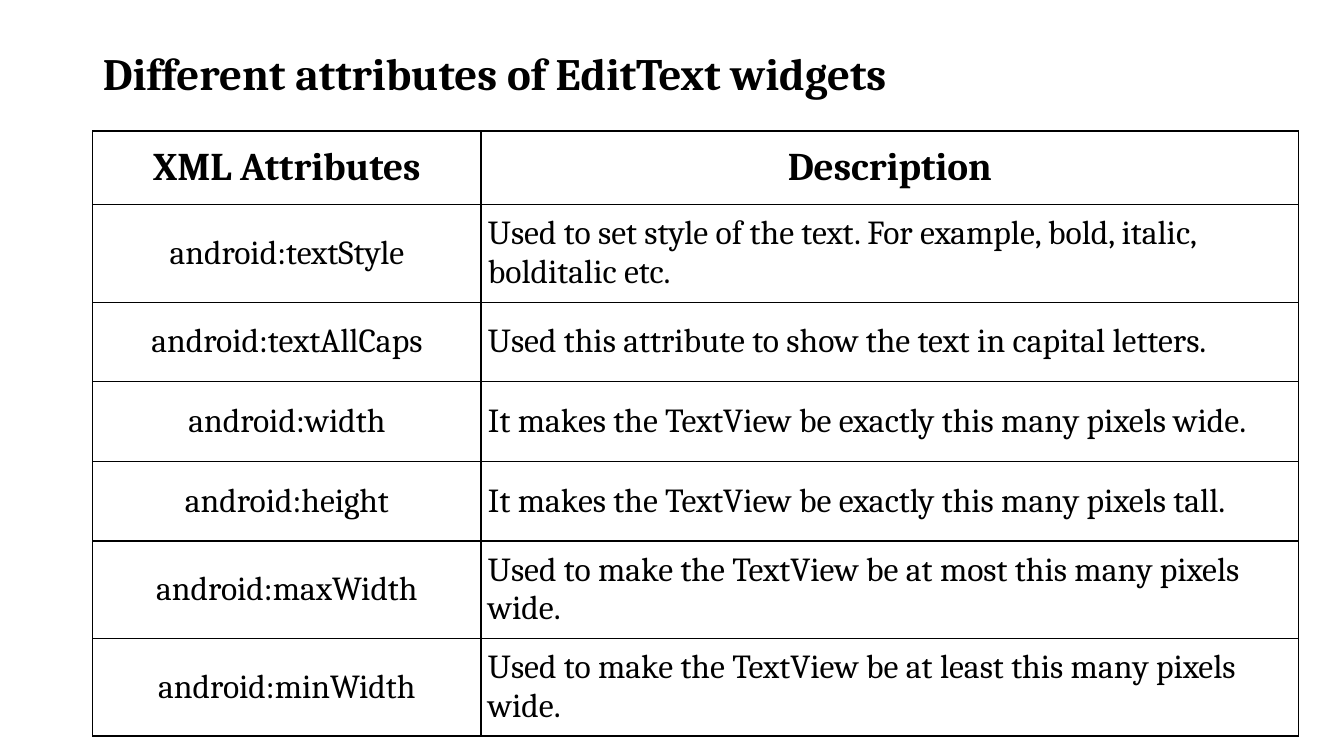
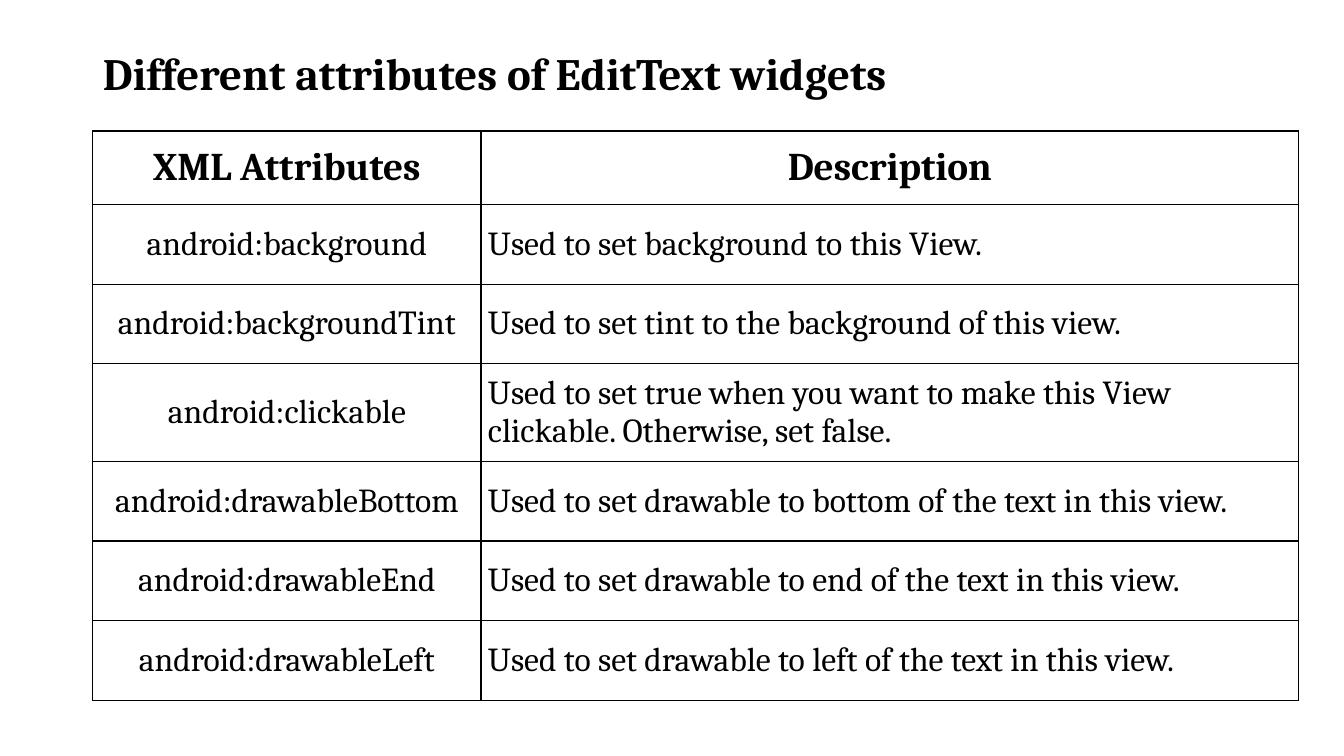
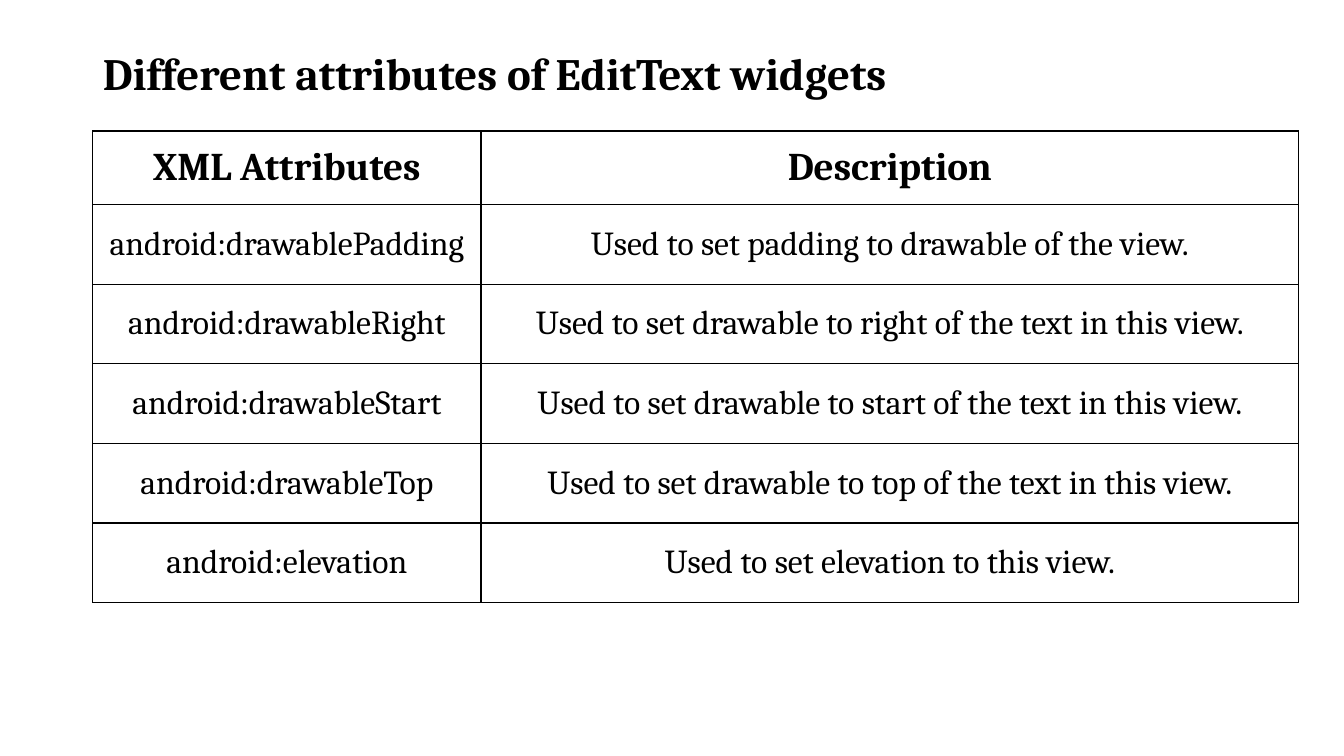
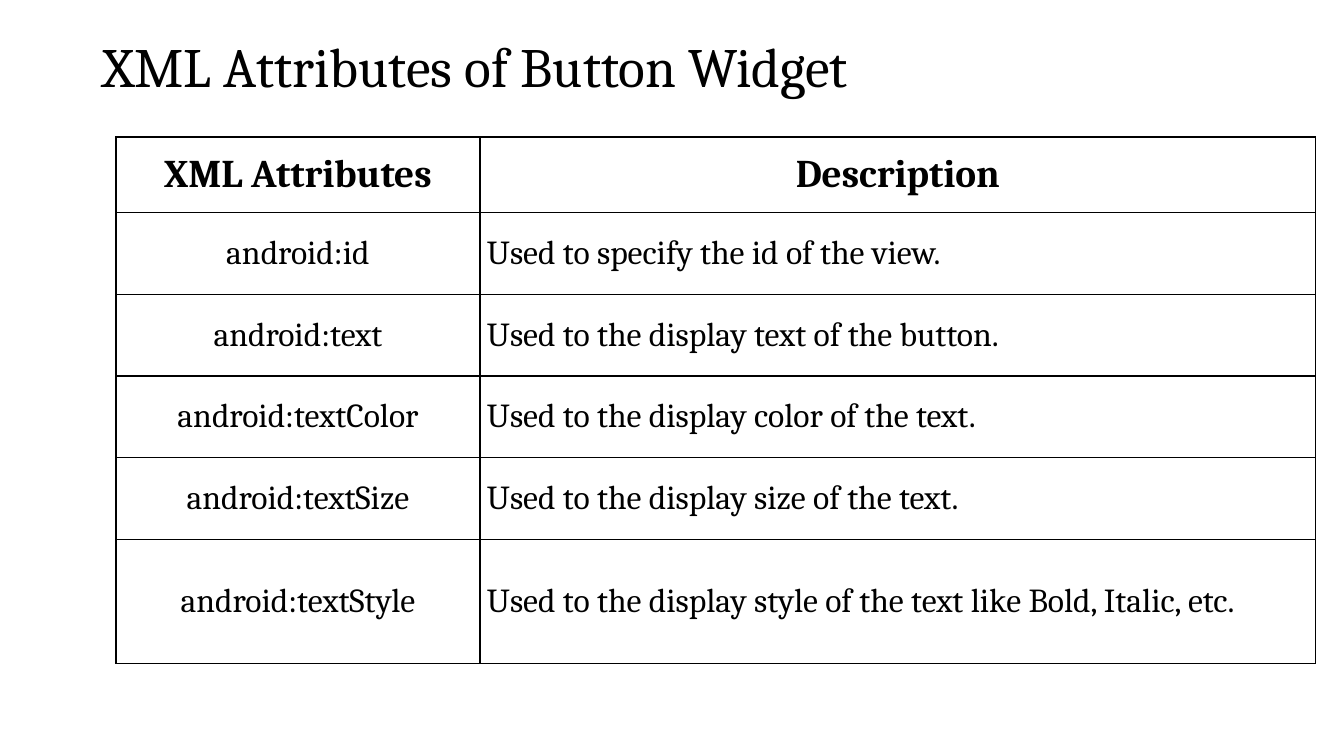
from dataclasses import dataclass

import lxml.etree
import pptx
import pptx.dml.color
import pptx.enum.text
import pptx.oxml.ns
import pptx.presentation
import pptx.shapes.autoshape
import pptx.slide
import pptx.table
import pptx.util

EMU_PER_PX = 9144  # 100 px to the inch
SLIDE_SIZE = (1333, 750)
FONT = "Cambria"
COLORS = {"text": "000000", "border": "000000", "cell": "FFFFFF"}
BORDER_WIDTH = pptx.util.Pt(1)
CENTER = pptx.enum.text.PP_ALIGN.CENTER
LEFT = pptx.enum.text.PP_ALIGN.LEFT
MIDDLE = pptx.enum.text.MSO_ANCHOR.MIDDLE
COLUMN_TITLES = ("XML Attributes", "Description")


@dataclass(frozen=True)
class Box:
    left: int
    top: int
    width: int
    height: int


@dataclass(frozen=True)
class HeadingStyle:
    layout: int
    size: float
    bold: bool
    space_before: int


@dataclass(frozen=True)
class TableGrid:
    left: int
    top: int
    columns: tuple[int, int]
    header_height: int
    row_height: int
    last_row_height: int


@dataclass(frozen=True)
class CellStyle:
    size: int
    bold: bool
    alignment: pptx.enum.text.PP_ALIGN
    side_margin: int
    vertical_margin: int


@dataclass(frozen=True)
class AttributeSlide:
    heading: str
    heading_style: HeadingStyle
    heading_box: Box
    grid: TableGrid
    rows: tuple[tuple[str, str], ...]
    description_alignment: pptx.enum.text.PP_ALIGN = LEFT


BODY_HEADING = HeadingStyle(layout=1, size=32, bold=True, space_before=10)
TITLE_HEADING = HeadingStyle(layout=5, size=39.6, bold=False, space_before=0)
BODY_BOX = Box(92, 46, 1150, 629)
EDIT_TEXT_HEADING = "Different attributes of EditText widgets"
EDIT_TEXT_GRID = TableGrid(92, 130, (385, 811), 73, 79, 79)
BUTTON_GRID = TableGrid(115, 136, (361, 829), 75, 81, 123)

SLIDES = (
    AttributeSlide(
        EDIT_TEXT_HEADING, BODY_HEADING, BODY_BOX, EDIT_TEXT_GRID,
        (
            ("android:textStyle", "Used to set style of the text. For example, bold, italic, bolditalic etc."),
            ("android:textAllCaps", "Used this attribute to show the text in capital letters."),
            ("android:width", "It makes the TextView be exactly this many pixels wide."),
            ("android:height", "It makes the TextView be exactly this many pixels tall."),
            ("android:maxWidth", "Used to make the TextView be at most this many pixels wide."),
            ("android:minWidth", "Used to make the TextView be at least this many pixels wide."),
        ),
    ),
    AttributeSlide(
        EDIT_TEXT_HEADING, BODY_HEADING, BODY_BOX, EDIT_TEXT_GRID,
        (
            ("android:background", "Used to set background to this View."),
            ("android:backgroundTint", "Used to set tint to the background of this view."),
            ("android:clickable", "Used to set true when you want to make this View clickable. Otherwise, set false."),
            ("android:drawableBottom", "Used to set drawable to bottom of the text in this view."),
            ("android:drawableEnd", "Used to set drawable to end of the text in this view."),
            ("android:drawableLeft", "Used to set drawable to left of the text in this view."),
        ),
    ),
    AttributeSlide(
        EDIT_TEXT_HEADING, BODY_HEADING, Box(92, 46, 1223, 661), EDIT_TEXT_GRID,
        (
            ("android:drawablePadding", "Used to set padding to drawable of the view."),
            ("android:drawableRight", "Used to set drawable to right of the text in this view."),
            ("android:drawableStart", "Used to set drawable to start of the text in this view."),
            ("android:drawableTop", "Used to set drawable to top of the text in this view."),
            ("android:elevation", "Used to set elevation to this view."),
        ),
        description_alignment=CENTER,
    ),
    AttributeSlide(
        "XML Attributes of Button Widget", TITLE_HEADING, Box(92, 40, 941, 58), BUTTON_GRID,
        (
            ("android:id", "Used to specify the id of the view."),
            ("android:text", "Used to the display text of the button."),
            ("android:textColor", "Used to the display color of the text."),
            ("android:textSize", "Used to the display size of the text."),
            ("android:textStyle", "Used to the display style of the text like Bold, Italic, etc."),
        ),
    ),
)


def px(length: int) -> pptx.util.Emu:
    return pptx.util.Emu(length * EMU_PER_PX)


def rgb(name: str) -> pptx.dml.color.RGBColor:
    return pptx.dml.color.RGBColor.from_string(COLORS[name])


def write_paragraph(
    text_frame, text: str, size: float, bold: bool, alignment: pptx.enum.text.PP_ALIGN
):
    """Fill the first paragraph of the frame, format it and return it."""
    paragraph = text_frame.paragraphs[0]
    paragraph.text = text
    paragraph.alignment = alignment
    paragraph.font.name = FONT
    paragraph.font.size = pptx.util.Pt(size)
    paragraph.font.bold = bold
    paragraph.font.color.rgb = rgb("text")
    return paragraph


def add_heading(slide: pptx.slide.Slide, content: AttributeSlide) -> None:
    """Write the heading in the body placeholder, or in the title if there is no body."""
    placeholder, *unused = reversed(list(slide.placeholders))
    for shape in unused:
        shape._element.getparent().remove(shape._element)

    box, style = content.heading_box, content.heading_style
    placeholder.left, placeholder.top = px(box.left), px(box.top)
    placeholder.width, placeholder.height = px(box.width), px(box.height)
    text_frame = placeholder.text_frame
    text_frame.word_wrap = True
    text_frame.auto_size = pptx.enum.text.MSO_AUTO_SIZE.NONE
    paragraph = write_paragraph(text_frame, content.heading, style.size, style.bold, LEFT)
    paragraph.line_spacing = 0.9
    paragraph.space_before = pptx.util.Pt(style.space_before)
    properties = paragraph._p.get_or_add_pPr()
    properties.set("marL", "0")
    properties.set("indent", "0")
    lxml.etree.SubElement(properties, pptx.oxml.ns.qn("a:buNone"))


def add_borders(cell: pptx.table._Cell) -> None:
    """Line all four sides; the lines must stand before the fill in the XML."""
    qn = pptx.oxml.ns.qn
    properties = cell._tc.get_or_add_tcPr()
    for index, side in enumerate(("lnL", "lnR", "lnT", "lnB")):
        line = lxml.etree.Element(qn(f"a:{side}"), w=str(BORDER_WIDTH))
        fill = lxml.etree.SubElement(line, qn("a:solidFill"))
        lxml.etree.SubElement(fill, qn("a:srgbClr"), val=COLORS["border"])
        properties.insert(index, line)


def fill_cell(cell: pptx.table._Cell, text: str, style: CellStyle) -> None:
    cell.fill.solid()
    cell.fill.fore_color.rgb = rgb("cell")
    cell.vertical_anchor = MIDDLE
    cell.margin_left = cell.margin_right = px(style.side_margin)
    cell.margin_top = cell.margin_bottom = px(style.vertical_margin)
    write_paragraph(cell.text_frame, text, style.size, style.bold, style.alignment)
    add_borders(cell)


def add_attribute_table(slide: pptx.slide.Slide, content: AttributeSlide) -> None:
    grid = content.grid
    rows = (COLUMN_TITLES, *content.rows)
    heights = [grid.header_height] + [grid.row_height] * len(content.rows)
    heights[-1] = grid.last_row_height
    table = slide.shapes.add_table(
        len(rows), len(COLUMN_TITLES),
        px(grid.left), px(grid.top), px(sum(grid.columns)), px(sum(heights)),
    ).table
    for column, width in zip(table.columns, grid.columns):
        column.width = px(width)

    header_styles = (CellStyle(28, True, CENTER, 4, 7), CellStyle(28, True, CENTER, 7, 7))
    row_styles = (
        CellStyle(24, False, CENTER, 7, 10),
        CellStyle(24, False, content.description_alignment, 7, 10),
    )
    for row_index, (row, height, texts) in enumerate(zip(table.rows, heights, rows)):
        row.height = px(height)
        styles = row_styles if row_index else header_styles
        for cell, text, style in zip(row.cells, texts, styles):
            fill_cell(cell, text, style)


def main() -> None:
    presentation = pptx.Presentation()
    presentation.slide_width, presentation.slide_height = map(px, SLIDE_SIZE)
    for content in SLIDES:
        layout = presentation.slide_layouts[content.heading_style.layout]
        slide = presentation.slides.add_slide(layout)
        add_heading(slide, content)
        add_attribute_table(slide, content)
    presentation.save("out.pptx")


if __name__ == "__main__":
    main()
